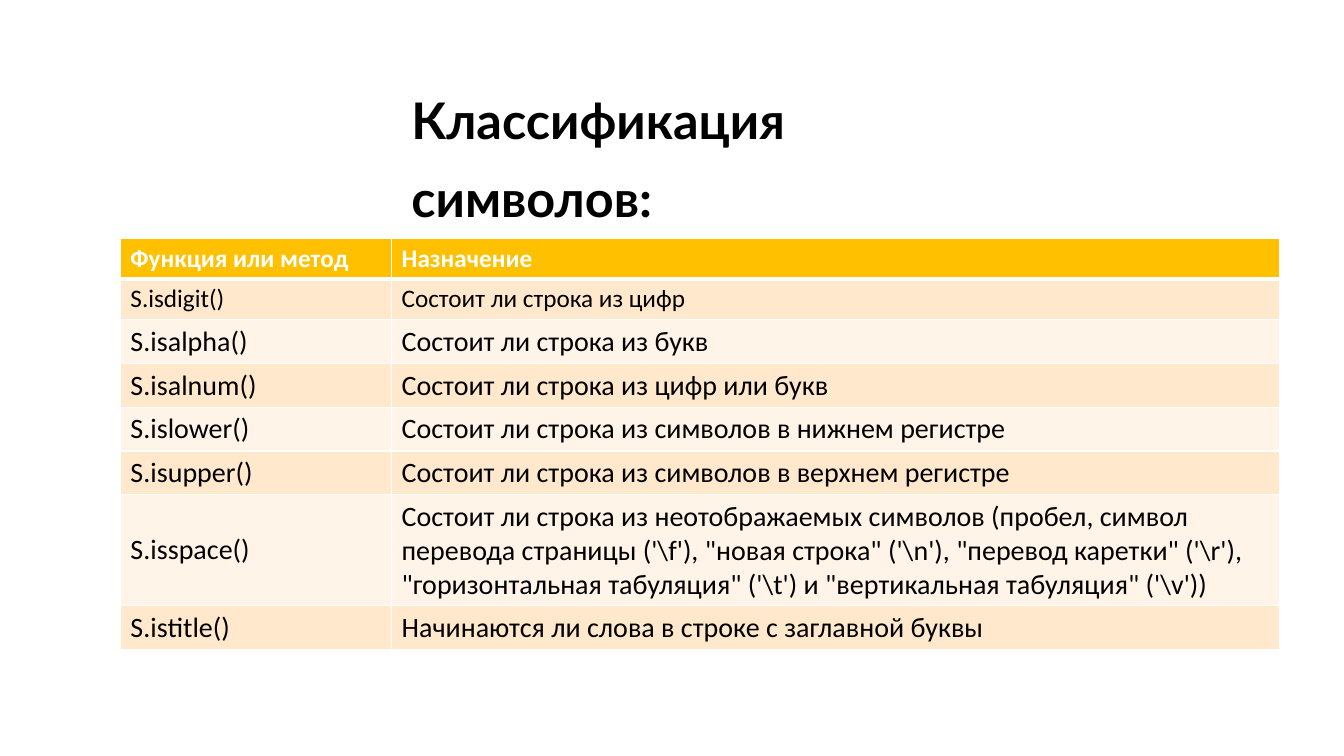
from lxml import etree
from pptx import Presentation
from pptx.dml.color import RGBColor
from pptx.enum.text import MSO_ANCHOR, MSO_AUTO_SIZE, PP_ALIGN
from pptx.oxml.ns import qn
from pptx.util import Pt

TOP, MIDDLE = MSO_ANCHOR.TOP, MSO_ANCHOR.MIDDLE
LEFT = PP_ALIGN.LEFT
GROW = MSO_AUTO_SIZE.SHAPE_TO_FIT_TEXT
TITLE_ONLY = 5

COLORS = {
    "head": "FFC000",
    "odd": "FFE8CC",
    "even": "FFF4E7",
    "white": "FFFFFF",
    "black": "000000",
}

COLS = (193.7, 634.3)
ROWS = [
    ("Функция или метод", "Назначение"),
    ("S.isdigit()", "Состоит ли строка из цифр"),
    ("S.isalpha()", "Состоит ли строка из букв"),
    ("S.isalnum()", "Состоит ли строка из цифр или букв"),
    ("S.islower()", "Состоит ли строка из символов в нижнем регистре"),
    ("S.isupper()", "Состоит ли строка из символов в верхнем регистре"),
    ("S.isspace()",
     "Состоит ли строка из неотображаемых символов (пробел, символ перевода "
     r"""страницы ('\f'), "новая строка" ('\n'), "перевод каретки" ('\r'), """
     r""""горизонтальная табуляция" ('\t') и "вертикальная табуляция" ('\v'))"""),
    ("S.istitle()", "Начинаются ли слова в строке с заглавной буквы"),
]


def rgb(name):
    return RGBColor.from_string(COLORS[name])


def style(para, font, size, color, bold):
    para.alignment = LEFT
    for run in para.runs:
        run.font.name = font
        run.font.size = Pt(size)
        run.font.bold = bold
        run.font.color.rgb = rgb(color)


def add_title(slide, text, left, top, width, height):
    title = slide.shapes.title
    title.left, title.top = Pt(left), Pt(top)
    title.width, title.height = Pt(width), Pt(height)
    frame = title.text_frame
    frame.text = text
    frame.word_wrap = True
    frame.auto_size = GROW
    frame.vertical_anchor = TOP
    para = frame.paragraphs[0]
    para.line_spacing = 1.3
    style(para, "Lato", 36, "black", True)


def set_edges(cell, top, bottom):
    props = cell._tc.get_or_add_tcPr()
    for side, width in (("L", 1), ("R", 1), ("T", top), ("B", bottom)):
        line = etree.SubElement(props, qn(f"a:ln{side}"), w=str(Pt(width)))
        fill = etree.SubElement(line, qn("a:solidFill"))
        etree.SubElement(fill, qn("a:srgbClr"), val=COLORS["white"])


def fill_cell(cell, text, row):
    head = row == 0
    # Heavy rule between the header and the body
    set_edges(cell, 3 if row == 1 else 1, 3 if head else 1)
    cell.fill.solid()
    cell.fill.fore_color.rgb = rgb("head" if head else "odd" if row % 2 else "even")
    cell.vertical_anchor = MIDDLE
    cell.text_frame.text = text
    style(cell.text_frame.paragraphs[0], "Calibri", 18 if row < 2 else 20,
          "white" if head else "black", head)


def add_grid(slide, rows, left, top, height):
    shape = slide.shapes.add_table(len(rows), len(COLS), Pt(left), Pt(top),
                                   Pt(sum(COLS)), Pt(height))
    table = shape.table
    for col, width in zip(table.columns, COLS):
        col.width = Pt(width)
    for i, texts in enumerate(rows):
        table.rows[i].height = Pt(29.2)
        for j, text in enumerate(texts):
            fill_cell(table.cell(i, j), text, i)
    shape.height = Pt(height)


def main():
    deck = Presentation()
    deck.slide_width, deck.slide_height = Pt(960), Pt(540)
    slide = deck.slides.add_slide(deck.slide_layouts[TITLE_ONLY])

    # Heading
    add_title(slide, "Классификация символов:", 286.6, 46.8, 442, 59)

    # Table of string methods
    add_grid(slide, ROWS, 86, 170, 293.8)

    deck.save("out.pptx")


if __name__ == "__main__":
    main()
